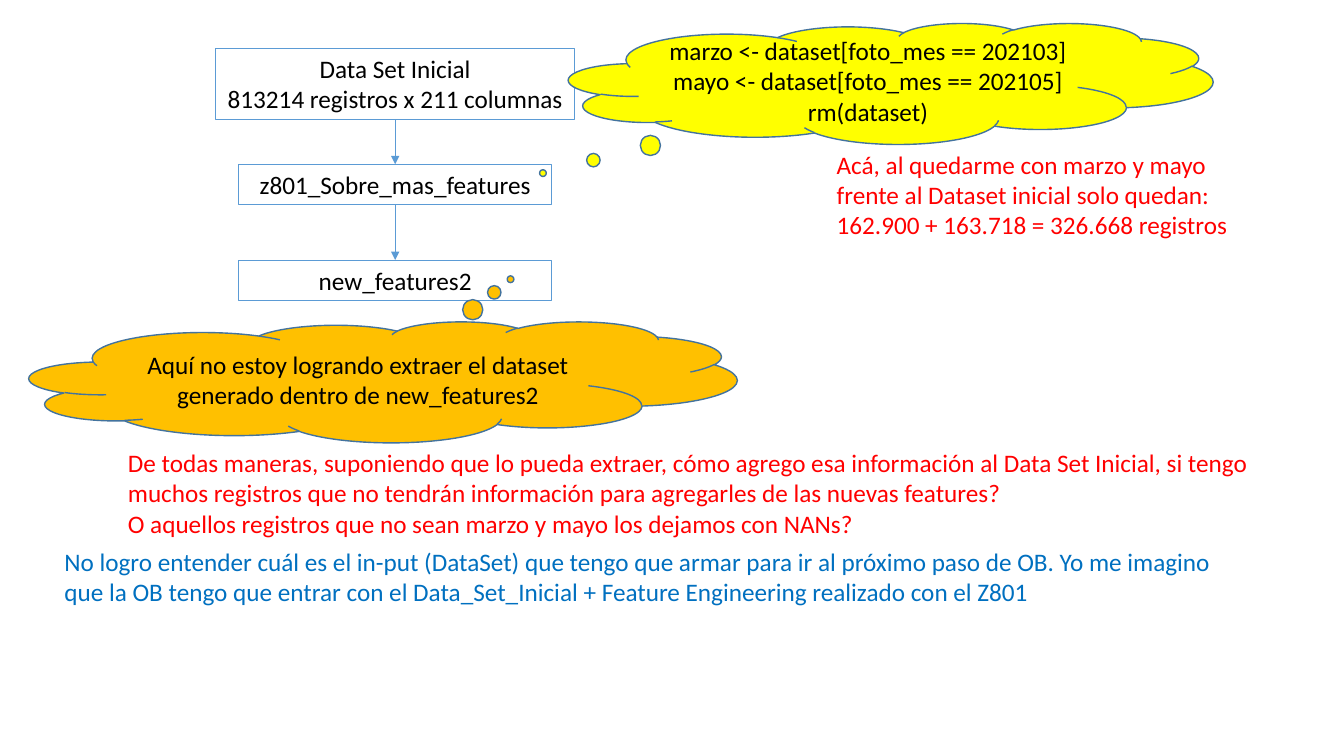
from dataclasses import dataclass

from lxml.etree import SubElement
from pptx import Presentation
from pptx.dml.color import RGBColor
from pptx.enum.shapes import MSO_CONNECTOR, MSO_SHAPE
from pptx.enum.text import MSO_ANCHOR, MSO_AUTO_SIZE, PP_ALIGN
from pptx.oxml.ns import qn
from pptx.util import Inches, Pt

BLACK, RED, BLUE = "000000", "FF0000", "0070C0"
BOX_LINE, CLOUD_LINE = "5B9BD5", "43739E"
FLOW_CENTER = 3.92


@dataclass
class Step:
    text: str
    top: float
    width: float
    height: float
    wrap: bool = True


@dataclass
class Cloud:
    text: str
    left: float
    top: float
    width: float
    tail: tuple[float, float]
    fill: str
    height: float = 1.2


@dataclass
class Note:
    text: str
    left: float
    top: float
    width: float
    height: float
    color: str


STEPS = [
    Step("Data Set Inicial\n813214 registros x 211 columnas", 0.48, 3.56, 0.71, wrap=False),
    Step("z801_Sobre_mas_features", 1.63, 3.1, 0.4),
    Step("new_features2", 2.58, 3.1, 0.4),
]
CLOUDS = [
    Cloud("marzo <- dataset[foto_mes == 202103]\nmayo <- dataset[foto_mes == 202105]\nrm(dataset)",
          5.64, 0.23, 6.39, (-0.54, 0.74), "FFFF00"),
    Cloud("Aquí no estoy logrando extraer el dataset generado dentro de new_features2",
          0.29, 3.19, 7.02, (0.18, -0.85), "FFC000"),
]
NOTES = [
    Note("Acá, al quedarme con marzo y mayo frente al Dataset inicial solo quedan:\n"
         "162.900 + 163.718 = 326.668 registros", 8.2, 1.43, 4.46, 1.01, RED),
    Note("De todas maneras, suponiendo que lo pueda extraer, cómo agrego esa información al "
         "Data Set Inicial, si tengo muchos registros que no tendrán información para "
         "agregarles de las nuevas features?\n"
         "O aquellos registros que no sean marzo y mayo los dejamos con NANs?",
         1.17, 4.39, 11.61, 1.01, RED),
    Note("No logro entender cuál es el in-put (DataSet) que tengo que armar para ir al próximo "
         "paso de OB. Yo me imagino que la OB tengo que entrar con el Data_Set_Inicial + "
         "Feature Engineering realizado con el Z801", 0.54, 5.37, 11.61, 0.71, BLUE),
]


def rgb(color: str) -> RGBColor:
    return RGBColor.from_string(color)


def set_line(shape, color: str, width: float) -> None:
    shape.line.color.rgb = rgb(color)
    shape.line.width = Pt(width)


def write(shape, text: str, color: str, align, anchor, wrap: bool = True, grow: bool = True) -> None:
    tf = shape.text_frame
    tf.text = text
    tf.word_wrap = wrap
    tf.vertical_anchor = anchor
    tf.auto_size = MSO_AUTO_SIZE.SHAPE_TO_FIT_TEXT if grow else MSO_AUTO_SIZE.NONE
    for p in tf.paragraphs:
        p.alignment = align
        for r in p.runs:
            r.font.name = "Calibri"
            r.font.size = Pt(18)
            r.font.color.rgb = rgb(color)


def draw_step(s, step: Step):
    box = s.shapes.add_shape(MSO_SHAPE.RECTANGLE, Inches(FLOW_CENTER - step.width / 2),
                             Inches(step.top), Inches(step.width), Inches(step.height))
    box.shadow.inherit = False
    box.fill.background()
    set_line(box, BOX_LINE, 0.75)
    write(box, step.text, BLACK, PP_ALIGN.CENTER, MSO_ANCHOR.TOP, wrap=step.wrap)
    return box


def draw_arrow(s, upper, lower) -> None:
    arrow = s.shapes.add_connector(MSO_CONNECTOR.STRAIGHT, 0, 0, 0, 0)
    arrow.begin_connect(upper, 2)
    arrow.end_connect(lower, 0)
    set_line(arrow, BOX_LINE, 0.5)
    SubElement(arrow.line._get_or_add_ln(), qn("a:tailEnd"), type="triangle")
    SubElement(arrow._element.spPr, qn("a:effectLst"))


def draw_cloud(s, cloud: Cloud) -> None:
    sp = s.shapes.add_shape(MSO_SHAPE.CLOUD_CALLOUT, Inches(cloud.left), Inches(cloud.top),
                            Inches(cloud.width), Inches(cloud.height))
    sp.shadow.inherit = False
    sp.adjustments[0], sp.adjustments[1] = cloud.tail
    sp.fill.solid()
    sp.fill.fore_color.rgb = rgb(cloud.fill)
    set_line(sp, CLOUD_LINE, 1)
    write(sp, cloud.text, BLACK, PP_ALIGN.CENTER, MSO_ANCHOR.MIDDLE, grow=False)


def draw_note(s, note: Note) -> None:
    box = s.shapes.add_textbox(Inches(note.left), Inches(note.top),
                               Inches(note.width), Inches(note.height))
    write(box, note.text, note.color, PP_ALIGN.LEFT, MSO_ANCHOR.TOP)


prs = Presentation()
prs.slide_width, prs.slide_height = Inches(13.33), Inches(7.5)
s = prs.slides.add_slide(prs.slide_layouts[6])

# Flow of steps, joined by arrows
boxes = [draw_step(s, step) for step in STEPS]
for upper, lower in zip(boxes, boxes[1:]):
    draw_arrow(s, upper, lower)

# Thought clouds
for cloud in CLOUDS:
    draw_cloud(s, cloud)

# Questions and remarks
for note in NOTES:
    draw_note(s, note)

prs.save("out.pptx")
